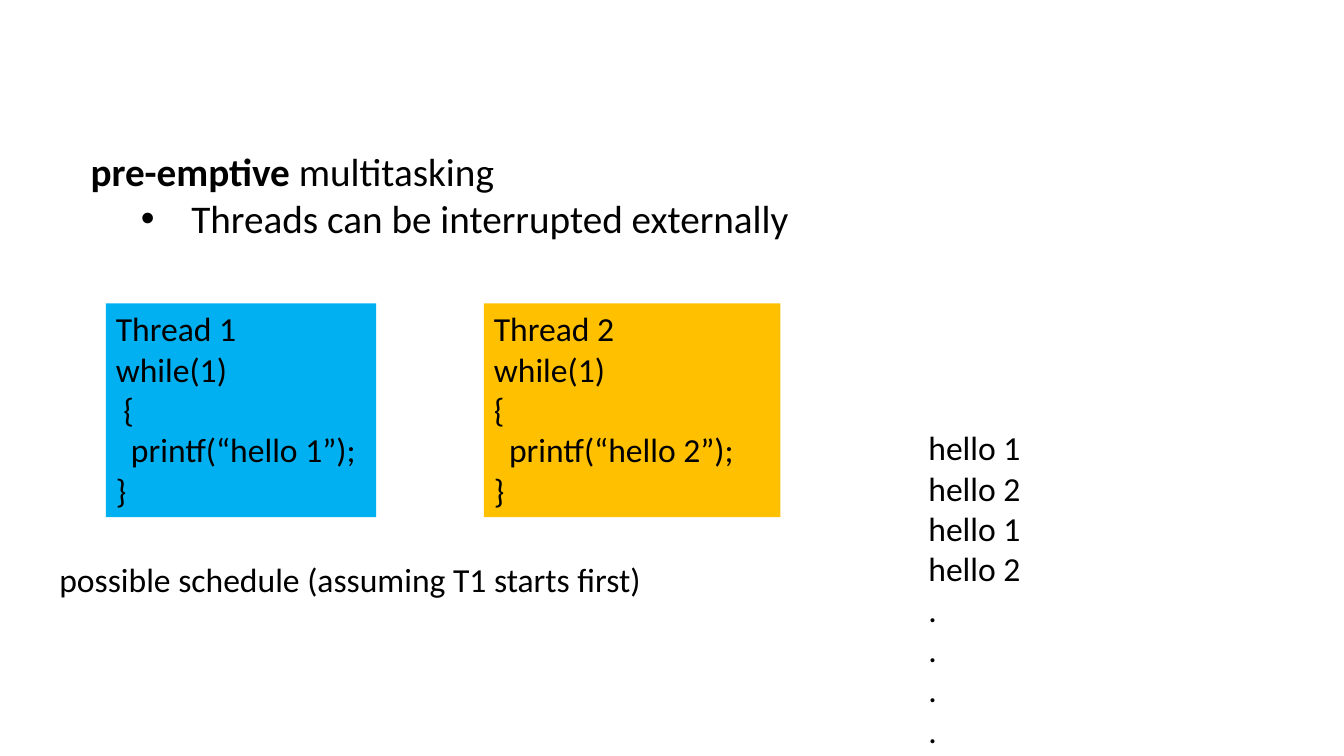
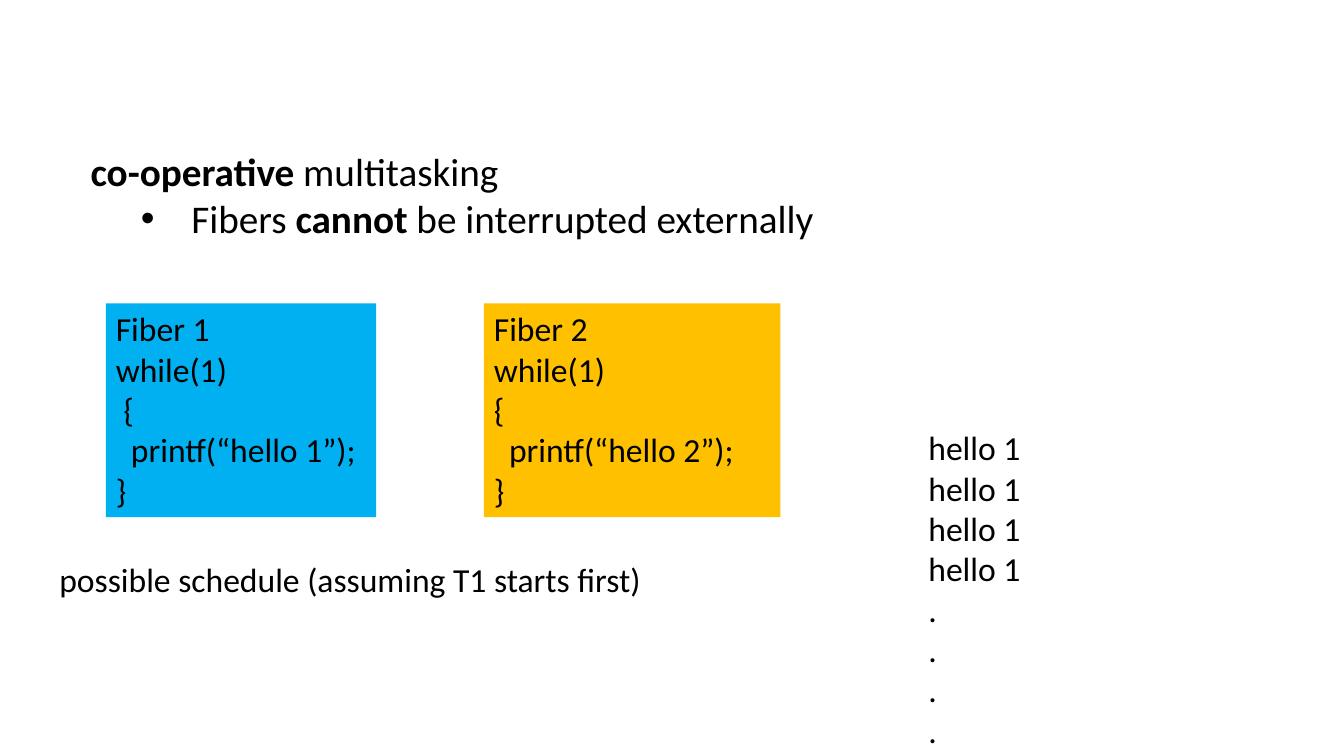
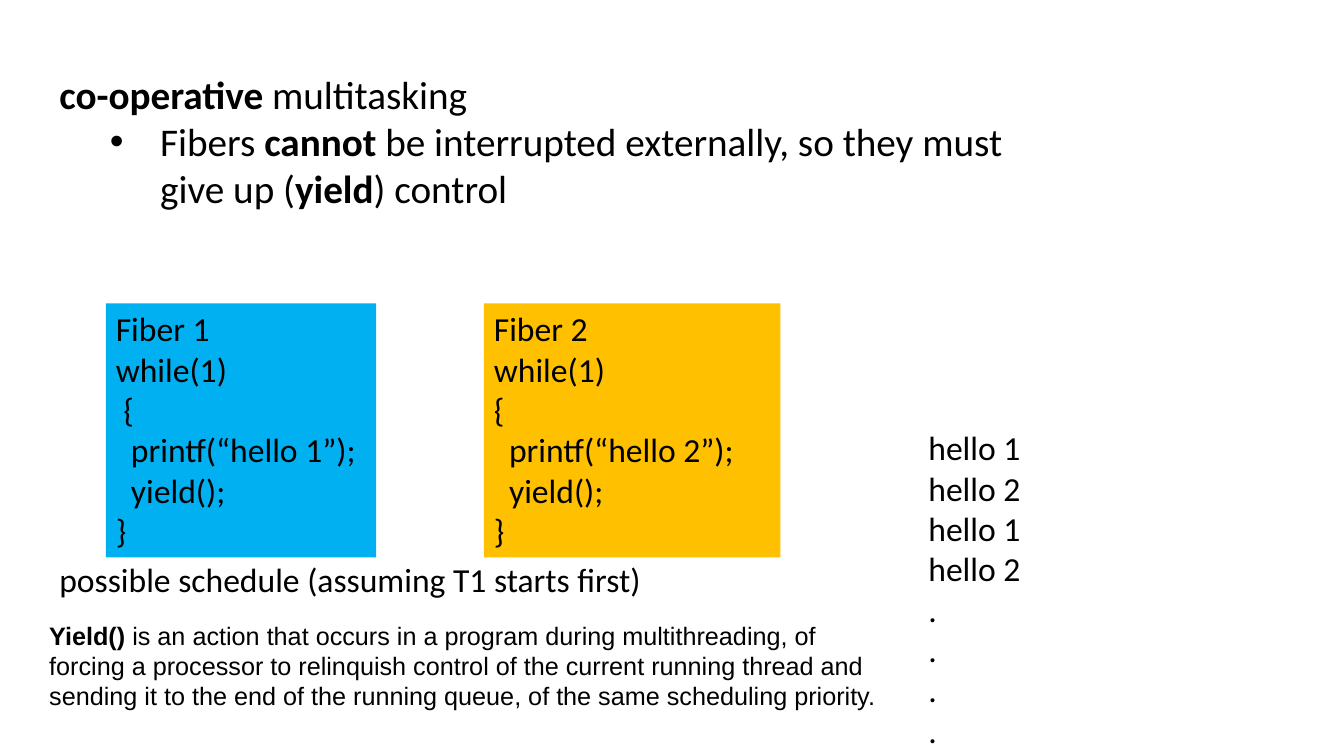
import pptx
import pptx.util
import pptx.dml.color
import pptx.enum.shapes
import pptx.enum.text
import pptx.oxml.ns
import lxml.etree

RGB = pptx.dml.color.RGBColor
BLACK = RGB(0x00, 0x00, 0x00)
BLUE = RGB(0x00, 0xB0, 0xF0)
AMBER = RGB(0xFF, 0xC0, 0x00)
WIDTH, HEIGHT = 13.33, 7.5
LINE, PADDING = 0.4, 0.12
CODE_TOP = 3.01
PANELS = [
    {"left": 1.05, "width": 2.68, "fill": BLUE, "brace": " {"},
    {"left": 4.8, "width": 2.94, "fill": AMBER, "brace": "{"},
]
CAPTION = "possible schedule (assuming T1 starts first)"
DOTS = ["."] * 4

SLIDES = [
    {
        "heading_at": (0.8, 1.41, 7.54, 1.35),
        "heading": [("pre-emptive", True), (" multitasking", False)],
        "bullet": [("Threads can be interrupted externally", False)],
        "task": "Thread",
        "extra": [],
        "output": [1, 2, 1, 2],
        "note": [],
    },
    {
        "heading_at": (0.8, 1.41, 7.54, 1.35),
        "heading": [("co-operative ", True), ("multitasking", False)],
        "bullet": [("Fibers ", False), ("cannot", True),
                   (" be interrupted externally", False)],
        "task": "Fiber",
        "extra": [],
        "output": [1, 1, 1, 1],
        "note": [],
    },
    {
        "heading_at": (0.49, 0.65, 9.72, 1.82),
        "heading": [("co-operative ", True), ("multitasking", False)],
        "bullet": [("Fibers ", False), ("cannot", True),
                   (" be interrupted externally, so they must give up (", False),
                   ("yield", True), (") control", False)],
        "task": "Fiber",
        "extra": ["  yield();"],
        "output": [1, 2, 1, 2],
        "note": [("Yield()", True),
                 (" is an action that occurs in a program during multithreading, "
                  "of forcing a processor to relinquish control of the current "
                  "running thread and sending it to the end of the running queue, "
                  "of the same scheduling priority.", False)],
    },
]


def plain(lines):
    return [[(line, False)] for line in lines]


def text_height(lines):
    return PADDING + LINE * len(lines)


def write(sp, paragraphs, size, font="Calibri"):
    tf = sp.text_frame
    tf.word_wrap = True
    tf.vertical_anchor = pptx.enum.text.MSO_ANCHOR.TOP
    for i, runs in enumerate(paragraphs):
        p = tf.paragraphs[0] if i == 0 else tf.add_paragraph()
        p.alignment = pptx.enum.text.PP_ALIGN.LEFT
        for text, bold in runs:
            r = p.add_run()
            r.text = text
            r.font.name = font
            r.font.size = pptx.util.Pt(size)
            r.font.bold = bold
            r.font.color.rgb = BLACK


def add_text(s, box, paragraphs, size=24, font="Calibri"):
    sp = s.shapes.add_textbox(*map(pptx.util.Inches, box))
    write(sp, paragraphs, size, font)
    return sp


def add_panel(s, box, fill, lines):
    sp = s.shapes.add_shape(pptx.enum.shapes.MSO_SHAPE.RECTANGLE,
                            *map(pptx.util.Inches, box))
    sp.shadow.inherit = False
    sp.fill.solid()
    sp.fill.fore_color.rgb = fill
    sp.line.fill.background()
    write(sp, plain(lines), 24)


def set_bullet(p):
    pPr = p._p.get_or_add_pPr()
    pPr.set("marL", str(pptx.util.Inches(1)))
    pPr.set("indent", str(pptx.util.Inches(-0.5)))
    for tag, key, value in (("a:buFont", "typeface", "Arial"),
                            ("a:buChar", "char", "•")):
        lxml.etree.SubElement(pPr, pptx.oxml.ns.qn(tag)).set(key, value)


def build_slide(prs, content):
    s = prs.slides.add_slide(prs.slide_layouts[6])
    heading = add_text(s, content["heading_at"],
                       [content["heading"], content["bullet"]], 28)
    set_bullet(heading.text_frame.paragraphs[1])

    for number, panel in enumerate(PANELS, 1):
        lines = [f"{content['task']} {number}", "while(1)", panel["brace"],
                 f"  printf(“hello {number}”);", *content["extra"], "}"]
        box = (panel["left"], CODE_TOP, panel["width"], text_height(lines))
        add_panel(s, box, panel["fill"], lines)

    output = [f"hello {n}" for n in content["output"]] + DOTS
    add_text(s, (9.11, 4.19, 1.57, text_height(output)), plain(output))
    add_text(s, (0.49, 5.5, 7.54, text_height([CAPTION])), plain([CAPTION]))
    if content["note"]:
        add_text(s, (0.39, 6.1, 8.5, 1.01), [content["note"]], 18, "Arial")


def main():
    prs = pptx.Presentation()
    prs.slide_width = pptx.util.Inches(WIDTH)
    prs.slide_height = pptx.util.Inches(HEIGHT)
    for content in SLIDES:
        build_slide(prs, content)
    prs.save("out.pptx")


if __name__ == "__main__":
    main()
